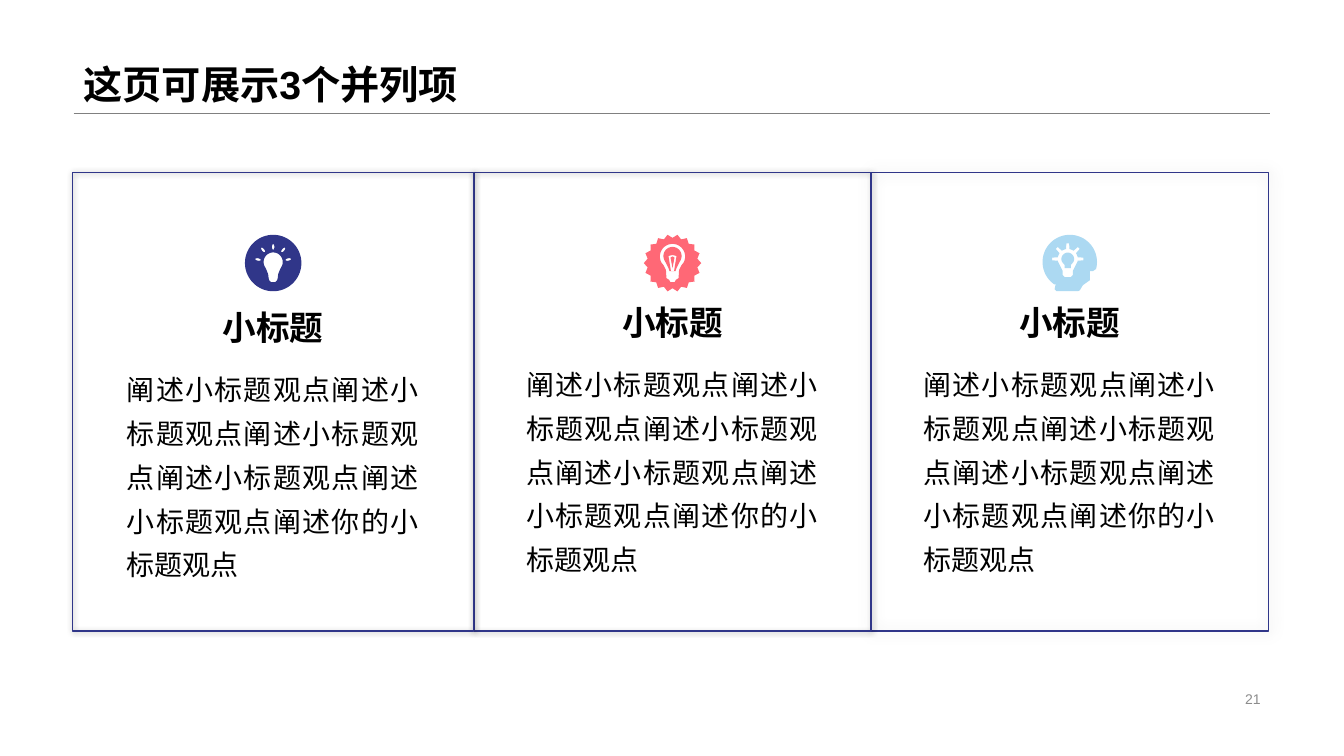
"""Build a slide with three parallel cards, each with an icon, heading and text."""
from collections.abc import Callable
from dataclasses import dataclass
from math import cos, radians, sin

from lxml.etree import SubElement
from pptx import Presentation
from pptx.dml.color import RGBColor
from pptx.enum.shapes import MSO_CONNECTOR as Link, MSO_SHAPE as Form
from pptx.enum.text import MSO_ANCHOR as Anchor, PP_ALIGN as Align
from pptx.oxml.ns import qn
from pptx.util import Inches, Pt

BLACK = RGBColor(0, 0, 0)
NAVY = RGBColor(0x30, 0x36, 0x89)
PINK = RGBColor(0xFF, 0x68, 0x76)
SKY = RGBColor(0xAC, 0xD9, 0xF2)
GREY = RGBColor(0x80, 0x80, 0x80)
PALE = RGBColor(0x8C, 0x8C, 0x8C)

WIDE, HIGH = Inches(13.33), Inches(7.5)
COL, ROW = WIDE / 100, HIGH / 100
BODY = "阐述小标题观点" * 5 + "阐述你的小标题观点"

Dot = tuple[float, float]
Loop = list[Dot]


@dataclass
class Style:
    """Format of one paragraph and its frame."""
    font: dict
    para: dict
    anchor: Anchor = Anchor.TOP
    color: RGBColor = BLACK


@dataclass
class Card:
    """One column of the row, in hundredths of the slide's size."""
    left: float
    width: float
    text: float
    drop: float
    color: RGBColor
    icon: Callable[[], list[Loop]]
    alpha: int
    blur: int


TITLE = Style({"size": Pt(28), "bold": True},
              {"alignment": Align.LEFT, "line_spacing": 0.9}, Anchor.BOTTOM)
HEAD = Style({"size": Pt(24), "bold": True},
             {"alignment": Align.CENTER, "line_spacing": 1.3}, Anchor.MIDDLE)
PLAIN = Style({"size": Pt(20)}, {"alignment": Align.JUSTIFY, "line_spacing": 1.3})
PAGE = Style({"size": Pt(10)}, {"alignment": Align.RIGHT}, Anchor.MIDDLE, PALE)


def arc(x: float, y: float, r: float, start: int, end: int) -> Loop:
    """Return points on an arc, in inches and degrees."""
    turns = [radians(a) for a in range(start, end + 1, 5)]
    return [(x + r * cos(a), y + r * sin(a)) for a in turns]


def bulb(x: float, y: float, r: float, foot: Loop) -> Loop:
    """Return a round top on a foot that is mirrored about x."""
    right = [(x + a, b) for a, b in foot]
    left = [(x - a, b) for a, b in reversed(foot)]
    return arc(x, y, r, 150, 390) + right + left


def ray(x: float, y: float, turn: float) -> Loop:
    """Return a short rounded stroke around a point."""
    a = radians(turn)
    oval = [(0.028 * p, 0.012 * q) for p, q in arc(0, 0, 1, 0, 355)]
    return [(x + p * cos(a) - q * sin(a), y + p * sin(a) + q * cos(a))
            for p, q in oval]


def disc() -> list[Loop]:
    """Return a disc with a shining bulb cut out."""
    foot = [(0.07, 0.06), (0.05, 0.11), (0.045, 0.15), (0.04, 0.17), (0.02, 0.19)]
    rays = [(-0.15, -0.035, 10), (-0.1, -0.13, 50), (0, -0.16, 90),
            (0.1, -0.13, 130), (0.15, -0.035, 170)]
    return [arc(0, 0, 0.28, 0, 355), bulb(0, -0.01, 0.095, foot),
            *(ray(*r) for r in rays)]


def gear() -> list[Loop]:
    """Return a toothed disc with the outline of a bulb cut out."""
    rim = []
    for a in range(0, 360, 20):
        rim += arc(0, 0, 0.285, a, a) + arc(0, 0, 0.25, a + 10, a + 10)
    glass = [(0.09, 0.02), (0.065, 0.07), (0.06, 0.15), (0.035, 0.165), (0.02, 0.19)]
    room = [(0.065, 0.0), (0.04, 0.05), (0.03, 0.08)]
    wire = [(-0.04, -0.07), (0, -0.08), (0.04, -0.07), (0.015, 0.08), (-0.015, 0.08)]
    core = [(-0.02, -0.055), (0, -0.065), (0.02, -0.055), (0, 0.05)]
    return [rim, bulb(0, -0.065, 0.125, glass), bulb(0, -0.07, 0.09, room), wire, core]


def mind() -> list[Loop]:
    """Return a head with a bright bulb cut out."""
    x, y = -0.02, -0.04
    neck = [(0.26, 0.06), (0.23, 0.08), (0.2, 0.08), (0.2, 0.17), (0.13, 0.22),
            (0.1, 0.27), (0.08, 0.28), (-0.13, 0.28), (-0.15, 0.26), (-0.14, 0.21)]
    rays = []
    for a in range(180, 361, 45):
        rays += arc(x, y, 0.1, a - 15, a - 10) + arc(x, y, 0.155, a - 5, a + 5)
        rays += arc(x, y, 0.1, a + 10, a + 15)
    base = [(0.065, 0.05), (0.05, 0.08), (0.05, 0.12), (0.03, 0.14)]
    rays += [(x + a, b) for a, b in base] + [(x - a, b) for a, b in reversed(base)]
    core = bulb(x, y, 0.063, [(0.03, 0.02), (0.03, 0.05)])
    return [arc(0, -0.01, 0.27, 125, 370) + neck, rays, core]


def box(left: float, top: float, width: float, height: float) -> list[int]:
    """Turn shares of the slide into lengths."""
    return [round(v) for v in (left * COL, top * ROW, width * COL, height * ROW)]


def write(shape, text: str, style: Style) -> None:
    """Fill a shape with one styled paragraph."""
    frame = shape.text_frame
    frame.word_wrap, frame.vertical_anchor = True, style.anchor
    para = frame.paragraphs[0]
    run = para.add_run()
    run.text = text
    for item, values in ((para, style.para), (run.font, style.font)):
        for name, value in values.items():
            setattr(item, name, value)
    run.font.name = "Arial"
    run.font.color.rgb = style.color


def label(shapes, place: list[int], text: str, style: Style) -> None:
    """Add a styled text box."""
    write(shapes.add_textbox(*place), text, style)


def panel(shapes, card: Card) -> None:
    """Add the framed and softly shaded card."""
    rect = shapes.add_shape(Form.RECTANGLE, *box(card.left, 22.8, card.width, 60.67))
    rect.fill.background()
    rect.line.color.rgb, rect.line.width = NAVY, Pt(1)
    rect.shadow.inherit = False
    glow = SubElement(rect._element.spPr.find(qn("a:effectLst")), qn("a:outerShdw"),
                      blurRad=str(Pt(card.blur)), dist="0", dir="0",
                      algn="ctr", rotWithShape="0")
    tint = SubElement(glow, qn("a:srgbClr"), val=str(BLACK))
    SubElement(tint, qn("a:alpha"), val=str(card.alpha * 1000))


def badge(shapes, card: Card) -> None:
    """Add the card's icon as one outline with holes."""
    loops = [[(Inches(x), Inches(y)) for x, y in loop] for loop in card.icon()]
    pen = shapes.build_freeform(*loops[0][0])
    for loop in loops:
        if loop is not loops[0]:
            pen.move_to(*loop[0])
        pen.add_line_segments(loop[1:], close=True)
    mark = pen.convert_to_shape(*box(card.text + 11.63, 34.8, 0, 0)[:2])
    mark.fill.solid()
    mark.fill.fore_color.rgb = card.color
    mark.line.fill.background()
    mark.shadow.inherit = False


def main() -> None:
    """Draw the slide and save it."""
    deck = Presentation()
    deck.slide_width, deck.slide_height = WIDE, HIGH
    shapes = deck.slides.add_slide(deck.slide_layouts[5]).shapes
    title = shapes.title
    title.left, title.top, title.width, title.height = box(5.48, 0, 89.04, 14.93)
    write(title, "这页可展示3个并列项", TITLE)
    start, end = box(5.48, 14.93, 0, 0)[:2], box(94.52, 14.93, 0, 0)[:2]
    rule = shapes.add_connector(Link.STRAIGHT, *start, *end)
    rule.line.color.rgb, rule.line.width = GREY, Pt(0.25)
    SubElement(rule._element.spPr, qn("a:effectLst"))
    label(shapes, box(70.67, 90.93, 23.86, 3.07), "21", PAGE)

    cards = [Card(5.4, 29.86, 8.7, 0.67, NAVY, disc, 40, 4),
             Card(35.26, 29.56, 38.41, 0, PINK, gear, 40, 4),
             Card(64.82, 29.56, 67.97, 0, SKY, mind, 20, 10)]
    for card in reversed(cards):
        panel(shapes, card)
    for card in cards:
        badge(shapes, card)
        label(shapes, box(card.text + 2.25, 37.73 + card.drop, 18.75, 8.13), "小标题", HEAD)
        label(shapes, box(card.text, 46.67 + card.drop, 23.18, 32.5), BODY, PLAIN)
    deck.save("out.pptx")


if __name__ == "__main__":
    main()
